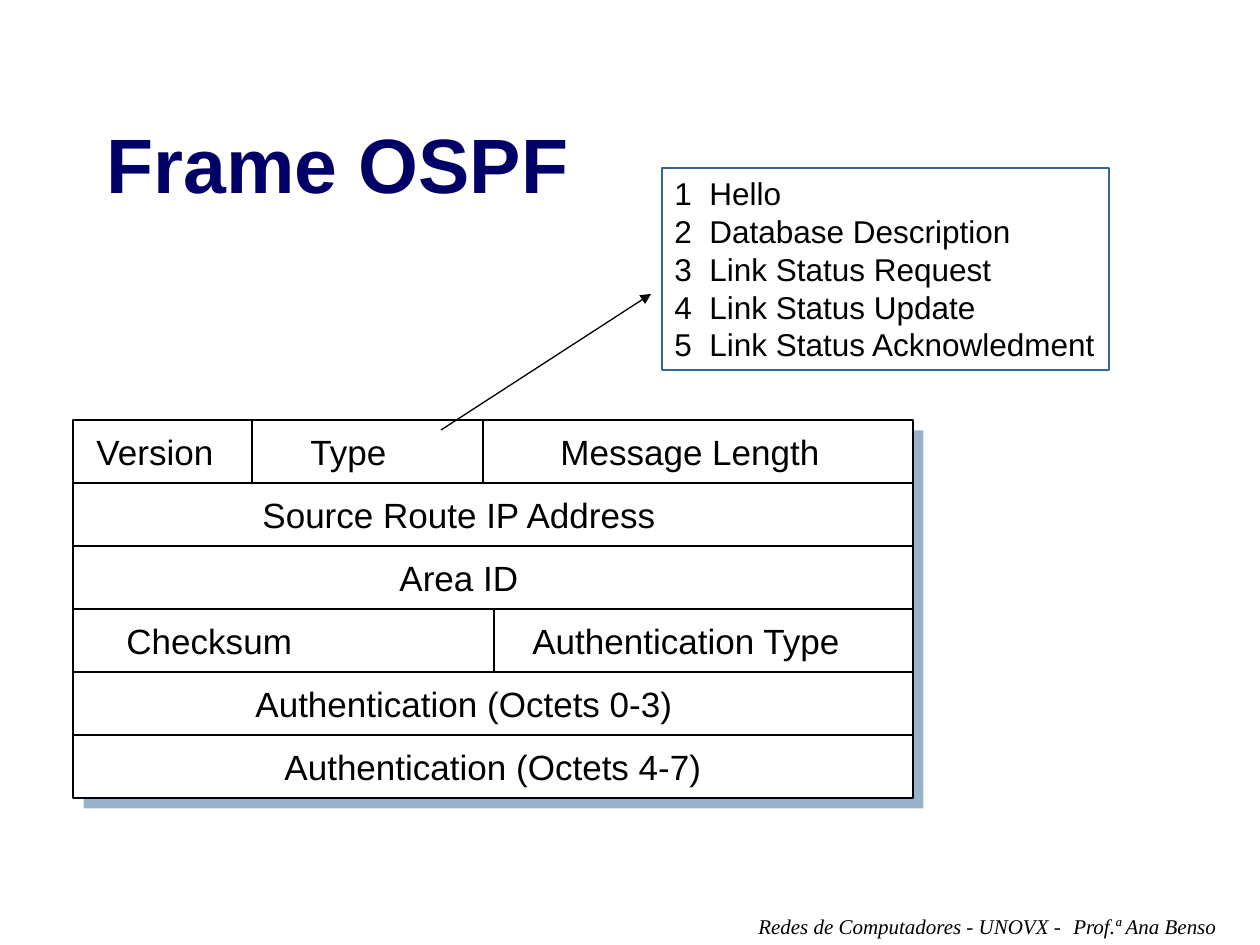
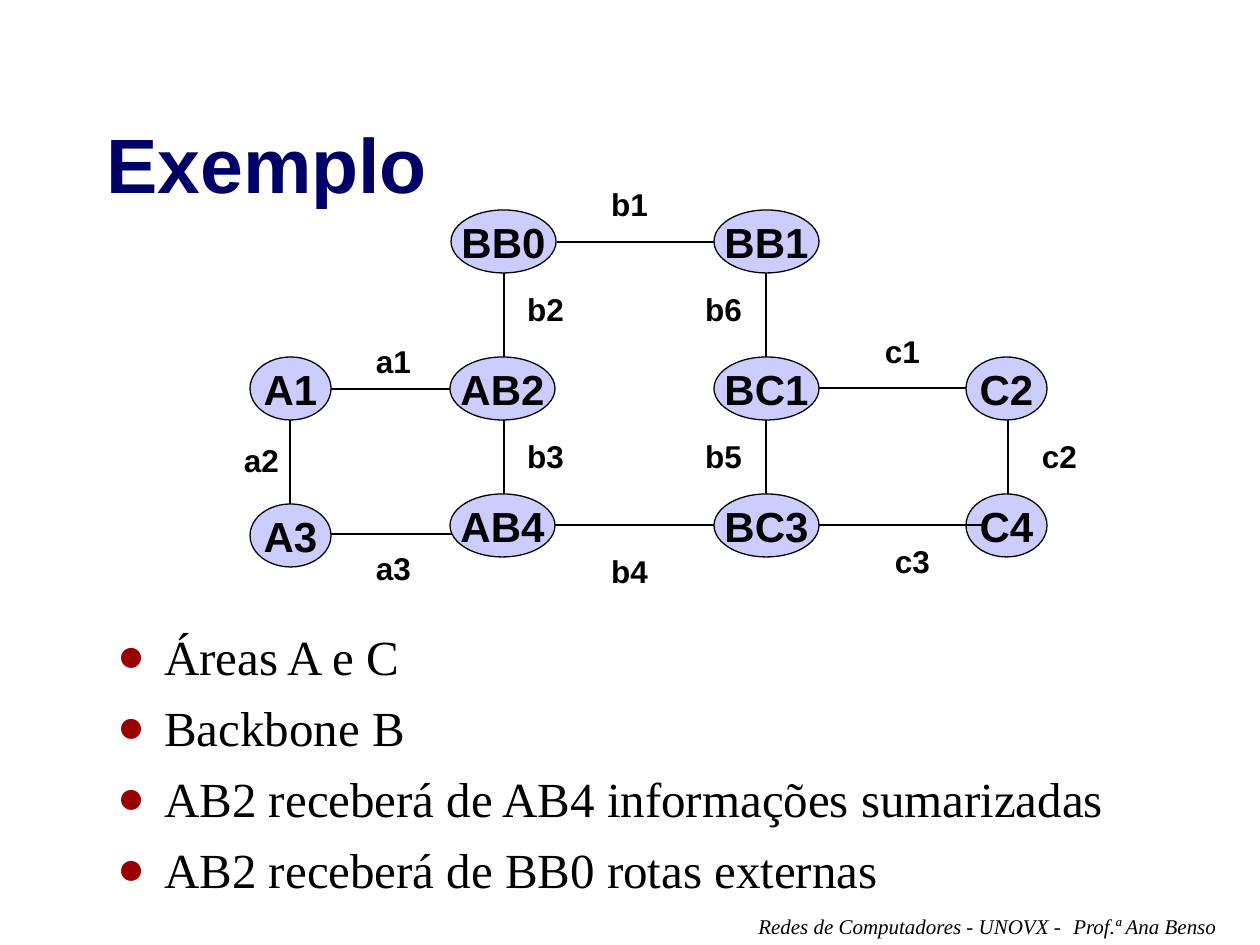
from dataclasses import dataclass
from lxml.etree import SubElement
from pptx import Presentation
from pptx.dml.color import RGBColor
from pptx.enum.shapes import MSO_CONNECTOR, MSO_SHAPE
from pptx.enum.text import MSO_ANCHOR, PP_ALIGN
from pptx.oxml.ns import qn
from pptx.util import Emu, Pt


@dataclass(frozen=True)
class Theme:
    ink: str = "000000"
    paper: str = "FFFFFF"
    title: str = "000066"
    accent: str = "336699"
    node: str = "CCCCFF"
    bullet: str = "990000"
    sans: str = "Arial"
    serif: str = "Times New Roman"
    title_size: int = 44
    body_size: int = 28
    node_size: int = 24
    field_size: int = 20
    label_size: int = 18
    footer_size: int = 12
    line_width: float = 0.75


THEME = Theme()
PX_PER_INCH = 126
INSET = 13


def px(length):
    return Emu(round(length * 914400 / PX_PER_INCH))


def color(code):
    return RGBColor.from_string(code)


# Text

def add_text(frame, lines, size, font=THEME.sans, ink=THEME.ink, bold=False,
             italic=False, align=PP_ALIGN.LEFT, anchor=MSO_ANCHOR.TOP, wrap=False):
    frame.word_wrap = wrap
    frame.vertical_anchor = anchor
    for index, line in enumerate(lines):
        paragraph = frame.paragraphs[0] if index == 0 else frame.add_paragraph()
        paragraph.alignment = align
        run = paragraph.add_run()
        run.text = line
        run.font.size = Pt(size)
        run.font.name = font
        run.font.bold = bold
        run.font.italic = italic
        run.font.color.rgb = color(ink)


def add_text_box(slide, box, lines, size, **style):
    frame = slide.shapes.add_textbox(*map(px, box)).text_frame
    add_text(frame, lines, size, **style)
    return frame


def set_indent(paragraph, margin, first_line):
    properties = paragraph._p.get_or_add_pPr()
    properties.set("marL", str(px(margin)))
    properties.set("indent", str(px(first_line)))
    return properties


def add_bullets(slide, box, lines):
    frame = add_text_box(slide, box, lines, THEME.body_size, font=THEME.serif, wrap=True)
    for paragraph in frame.paragraphs:
        paragraph.space_before = Pt(7)
        properties = set_indent(paragraph, 47, -47)
        bullet_color = SubElement(properties, qn("a:buClr"))
        SubElement(bullet_color, qn("a:srgbClr"), val=THEME.bullet)
        SubElement(properties, qn("a:buSzPct"), val="95000")
        SubElement(properties, qn("a:buFont"), typeface=THEME.serif)
        SubElement(properties, qn("a:buChar"), char="●")


# Shapes and lines

def add_box(slide, box, fill=THEME.paper, line=THEME.ink, kind=MSO_SHAPE.RECTANGLE):
    shape = slide.shapes.add_shape(kind, *map(px, box))
    shape.shadow.inherit = False
    shape.fill.solid()
    shape.fill.fore_color.rgb = color(fill)
    if line:
        shape.line.color.rgb = color(line)
        shape.line.width = Pt(THEME.line_width)
    else:
        shape.line.fill.background()
    return shape


def add_line(slide, start_x, start_y, end_x, end_y, arrow=False):
    line = slide.shapes.add_connector(
        MSO_CONNECTOR.STRAIGHT, *map(px, (start_x, start_y, end_x, end_y)))
    line.line.color.rgb = color(THEME.ink)
    line.line.width = Pt(THEME.line_width)
    if arrow:
        SubElement(line.line._get_or_add_ln(), qn("a:tailEnd"), type="triangle")
    SubElement(line._element.spPr, qn("a:effectLst"))


def add_shadow(shape):
    effects = shape._element.spPr.find(qn("a:effectLst"))
    shadow = SubElement(effects, qn("a:outerShdw"), dist=str(Pt(8.5)),
                        dir="2700000", algn="ctr", rotWithShape="0")
    tint = SubElement(shadow, qn("a:srgbClr"), val=THEME.accent)
    SubElement(tint, qn("a:alpha"), val="50000")


# Title and footer shared by all slides

def add_slide(presentation, title):
    slide = presentation.slides.add_slide(presentation.slide_layouts[6])
    footer = {"font": THEME.serif, "italic": True, "wrap": True}
    add_text_box(slide, (1061, 907, 174, 38), ["Prof.ª Ana Benso"],
                 THEME.footer_size, **footer)
    add_text_box(slide, (746, 907, 340, 38), ["Redes de Computadores - UNOVX -"],
                 THEME.footer_size, **footer)
    add_text_box(slide, (94, 84, 1071, 158), [title], THEME.title_size,
                 ink=THEME.title, bold=True, anchor=MSO_ANCHOR.MIDDLE, wrap=True)
    return slide


# Frame OSPF: header fields, each with the x where its text starts

FRAME_LEFT, FRAME_TOP, FRAME_WIDTH, ROW_HEIGHT = 73, 420, 840, 63
FRAME_ROWS = [
    ([("Version", 97), ("Type", 311), ("Message Length", 561)], [252, 483]),
    ([("Source Route IP Address", 263)], []),
    ([("Area ID", 400)], []),
    ([("Checksum", 127), ("Authentication Type", 533)], [494]),
    ([("Authentication (Octets 0-3)", 256)], []),
    ([("Authentication (Octets 4-7)", 285)], []),
]
MESSAGE_TYPES = ["Hello", "Database Description", "Link Status Request",
                 "Link Status Update", "Link Status Acknowledment"]


def add_field_row(slide, top, fields, dividers):
    row = add_box(slide, (FRAME_LEFT, top, FRAME_WIDTH, ROW_HEIGHT))
    for x in dividers:
        add_line(slide, x, top, x, top + ROW_HEIGHT)

    # The row holds its first field; the others stand past the dividers
    style = {"anchor": MSO_ANCHOR.MIDDLE, "wrap": True}
    (first_name, first_x), *others = fields
    add_text(row.text_frame, [first_name], THEME.field_size, **style)
    set_indent(row.text_frame.paragraphs[0], first_x - FRAME_LEFT - INSET, 0)
    for name, x in others:
        left = x - INSET
        add_text_box(slide, (left, top, FRAME_LEFT + FRAME_WIDTH - left, ROW_HEIGHT),
                     [name], THEME.field_size, **style)


def build_frame_slide(presentation):
    slide = add_slide(presentation, "Frame OSPF")
    backing = add_box(slide, (FRAME_LEFT, FRAME_TOP, FRAME_WIDTH,
                              ROW_HEIGHT * len(FRAME_ROWS)), line=None)
    add_shadow(backing)
    for index, (fields, dividers) in enumerate(FRAME_ROWS):
        add_field_row(slide, FRAME_TOP + index * ROW_HEIGHT, fields, dividers)

    # Values of the Type field
    add_line(slide, 441, 430, 651, 294, arrow=True)
    type_list = add_box(slide, (662, 168, 447, 202), line=THEME.accent)
    add_text(type_list.text_frame,
             [f"{number}\t{name}" for number, name in enumerate(MESSAGE_TYPES, 1)],
             THEME.label_size)
    for paragraph in type_list.text_frame.paragraphs:
        set_indent(paragraph, 35, -35)


# Exemplo: routers (left, top, width) and links (line ends, label corner)

ROUTER_HEIGHT = 63
ROUTERS = {
    "C4": (966, 494, 81),
    "A1": (250, 357, 81),
    "A3": (250, 504, 81),
    "BB0": (451, 210, 105),
    "BB1": (714, 210, 105),
    "AB2": (450, 357, 105),
    "AB4": (450, 494, 105),
    "BC1": (714, 357, 105),
    "BC3": (714, 494, 105),
    "C2": (966, 357, 81),
}
LINKS = {
    "a1": ((311, 389, 473, 389), (362, 336)),
    "a2": ((290, 408, 290, 515), (230, 435)),
    "a3": ((311, 534, 473, 534), (362, 543)),
    "b1": ((557, 242, 714, 242), (598, 179)),
    "b2": ((504, 273, 504, 357), (514, 284)),
    "b3": ((504, 410, 504, 518), (514, 431)),
    "b4": ((546, 525, 725, 525), (598, 546)),
    "b5": ((766, 420, 766, 494), (692, 431)),
    "b6": ((766, 273, 766, 368), (692, 284)),
    "c1": ((819, 388, 998, 388), (871, 326)),
    "c2": ((1008, 420, 1008, 494), (1028, 431)),
    "c3": ((819, 525, 987, 525), (881, 536)),
}


def add_router(slide, name):
    left, top, width = ROUTERS[name]
    router = add_box(slide, (left, top, width, ROUTER_HEIGHT),
                     fill=THEME.node, kind=MSO_SHAPE.OVAL)
    add_text(router.text_frame, [name], THEME.node_size, bold=True,
             align=PP_ALIGN.CENTER, anchor=MSO_ANCHOR.MIDDLE)


def build_example_slide(presentation):
    slide = add_slide(presentation, "Exemplo")
    add_bullets(slide, (105, 620, 1061, 284), [
        "Áreas A e C",
        "Backbone B",
        "AB2 receberá de AB4 informações sumarizadas",
        "AB2 receberá de BB0 rotas externas",
    ])

    # Link c3 runs over C4; all other routers cover the link ends
    bottom_router, *top_routers = ROUTERS
    add_router(slide, bottom_router)
    for ends, _ in LINKS.values():
        add_line(slide, *ends)
    for name in top_routers:
        add_router(slide, name)
    for name, (_, corner) in LINKS.items():
        add_text_box(slide, (*corner, 63, 50), [name], THEME.label_size,
                     bold=True, align=PP_ALIGN.CENTER)


def main():
    presentation = Presentation()
    presentation.slide_width = px(1260)
    presentation.slide_height = px(945)
    build_frame_slide(presentation)
    build_example_slide(presentation)
    presentation.save("out.pptx")


if __name__ == "__main__":
    main()
